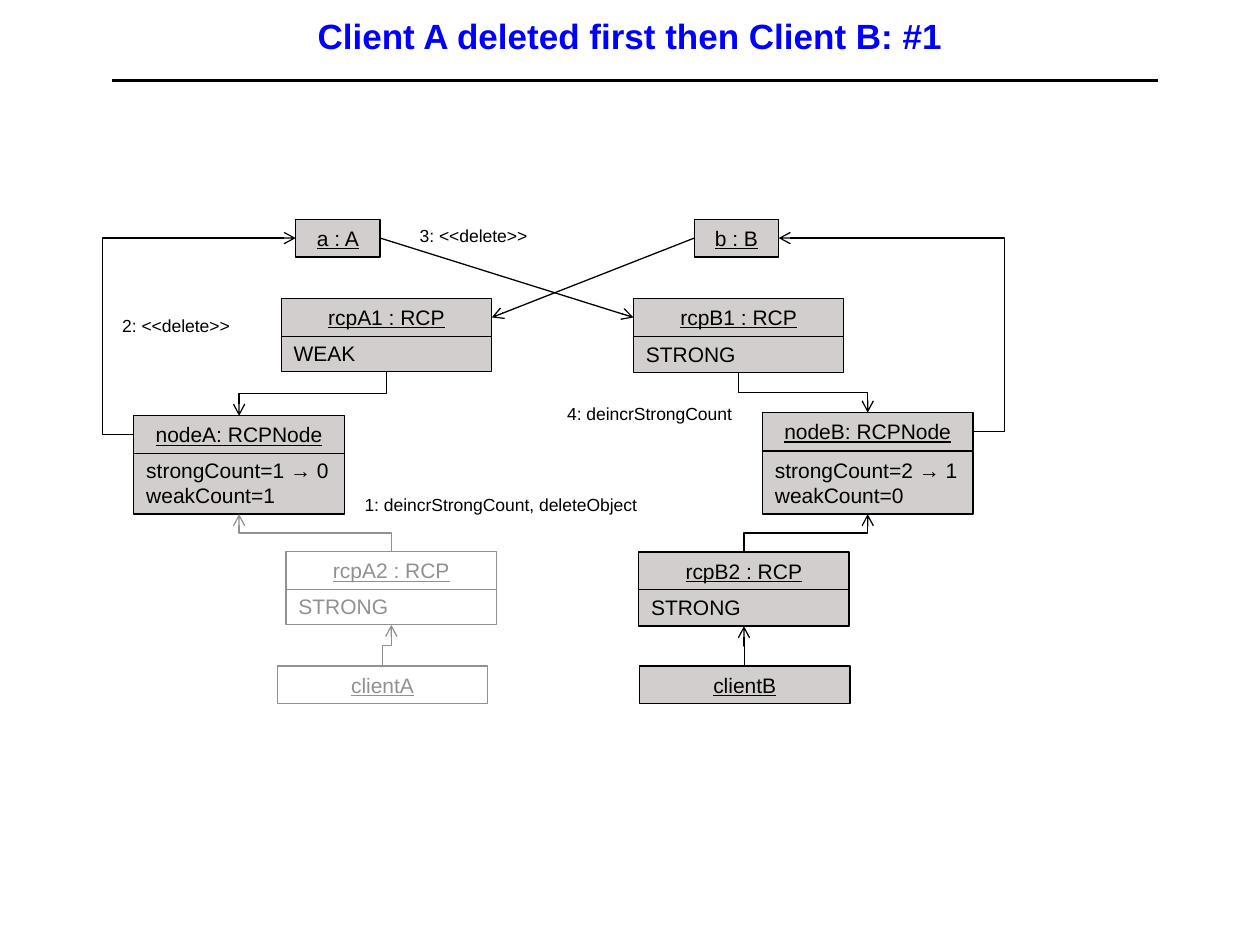
from dataclasses import dataclass

from lxml.etree import SubElement
from pptx import Presentation
from pptx.dml.color import RGBColor
from pptx.enum.shapes import MSO_CONNECTOR as LINK, MSO_SHAPE
from pptx.enum.text import MSO_ANCHOR as ANCHOR, MSO_AUTO_SIZE as FIT, PP_ALIGN as ALIGN
from pptx.oxml.ns import qn
from pptx.util import Pt

COLORS = {"title": "0000FF", "ink": "000000", "live": "D1CECD",
          "gone": "FFFFFF", "faded": "919191"}
FONT = "Arial"
HEAD_HEIGHT = 21.6
LINE_HEIGHT = 14.4
CLASS_WIDTH = 120.25
LOOP_REACH = 18


@dataclass
class Instance:
    """One UML object, placed relative to its side of the diagram."""
    name: str
    left: float
    top: float
    state: tuple = ()
    drop: float = 20.2
    width: float = CLASS_WIDTH
    deleted: bool = False


SIDE_A = {
    "target": Instance("a : A", 110.75, 0, width=48.25),
    "first": Instance("rcpA1 : RCP", 102.5, 45.35, ("WEAK",)),
    "node": Instance("nodeA: RCPNode", 18.25, 112.35, ("strongCount=1 → 0", "weakCount=1")),
    "second": Instance("rcpA2 : RCP", 105.25, 190, ("STRONG",), deleted=True),
    "client": Instance("clientA", 100.25, 255.4, deleted=True),
}
SIDE_B = {
    "target": Instance("b : B", 34.75, 0, width=48.25),
    "first": Instance("rcpB1 : RCP", 0, 45.35, ("STRONG",), 20.8),
    "node": Instance("nodeB: RCPNode", 73.75, 110.5, ("strongCount=2 → 1", "weakCount=0"), 22.1),
    "second": Instance("rcpB2 : RCP", 3, 190.2, ("STRONG",), 20.8),
    "client": Instance("clientB", 3.5, 255.4),
}
MESSAGES = [
    ("1: deincrStrongCount, deleteObject", 143, 153.5, 175),
    ("2: <<delete>>", 4.5, 51.1, 80),
    ("3: <<delete>>", 174.5, 0, 80),
    ("4: deincrStrongCount", 258.75, 101.75, 114),
]


def rgb(key):
    """Look up a named colour."""
    return RGBColor.from_string(COLORS[key])


def write(shape, lines, size, color, align=ALIGN.LEFT, underline=False):
    """Fill a shape with equally formatted paragraphs."""
    frame = shape.text_frame
    frame.text = "\n".join(lines)
    frame.word_wrap = True
    frame.vertical_anchor = ANCHOR.TOP
    frame.auto_size = FIT.SHAPE_TO_FIT_TEXT
    for line in frame.paragraphs:
        line.alignment = align
        line.font.name = FONT
        line.font.size = Pt(size)
        line.font.underline = underline
        line.font.color.rgb = rgb(color)


def style_link(link, color="ink", width=0.75, arrow=True):
    """Colour a connector, remove its shadow and give it an open arrowhead."""
    link.line.color.rgb = rgb(color)
    link.line.width = Pt(width)
    if arrow:
        SubElement(link._element.spPr.find(qn("a:ln")), qn("a:tailEnd"), type="arrow")
    SubElement(link._element.spPr, qn("a:effectLst"))


def draw_rise(slide, start, end, color="ink"):
    """Draw an elbow arrow that leaves and arrives vertically."""
    (x1, y1), (x2, y2) = start, end
    turn = -1 if (x2 - x1) * (y2 - y1) > 0 else 1
    mid_x, mid_y = (x1 + x2) // 2, (y1 + y2) // 2
    across, down = turn * (y2 - y1) // 2, -turn * (x2 - x1) // 2
    link = slide.shapes.add_connector(LINK.ELBOW, mid_x - across, mid_y - down,
                                      mid_x + across, mid_y + down)
    link._element.spPr.find(qn("a:xfrm")).set("rot", str(turn * 90 % 360 * 60000))
    style_link(link, color)


def draw_delete_loop(slide, node, target, on_left):
    """Draw an elbow arrow from a node to its target around the outside."""
    ends = []
    for head in (node, target):
        ends += [head.left if on_left else head.left + head.width,
                 head.top + head.height // 2]
    loop = slide.shapes.add_connector(LINK.ELBOW, *ends)
    guides = loop._element.spPr.find(qn("a:prstGeom")).find(qn("a:avLst"))
    bend = -round(Pt(LOOP_REACH) / abs(ends[2] - ends[0]) * 100000)
    SubElement(guides, qn("a:gd"), name="adj1", fmla=f"val {bend}")
    style_link(loop)


def draw_cross_link(slide, target, proxy, sides):
    """Join a target object to the other side's first proxy."""
    link = slide.shapes.add_connector(LINK.STRAIGHT, 0, 0, 0, 0)
    link.begin_connect(target, sides[0])
    link.end_connect(proxy, sides[1])
    style_link(link)


def draw_compartment(slide, box, lines, deleted, **text):
    """Draw one rectangle of a UML object."""
    rect = slide.shapes.add_shape(MSO_SHAPE.RECTANGLE, *map(Pt, box))
    ink = "faded" if deleted else "ink"
    rect.shadow.inherit = False
    rect.fill.solid()
    rect.fill.fore_color.rgb = rgb("gone" if deleted else "live")
    rect.line.color.rgb = rgb(ink)
    rect.line.width = Pt(0.75)
    write(rect, lines, 12, ink, **text)
    return rect


def draw_instance(slide, origin, item):
    """Draw a UML object and return its head with its top and bottom centres."""
    left, top = origin[0] + item.left, origin[1] + item.top
    state = None
    if item.state:
        height = 7.2 + LINE_HEIGHT * len(item.state)
        state = draw_compartment(slide, (left, top + item.drop, item.width, height),
                                 item.state, item.deleted)
    head = draw_compartment(slide, (left, top, item.width, HEAD_HEIGHT), [item.name],
                            item.deleted, align=ALIGN.CENTER, underline=True)
    base = state or head
    center = head.left + head.width // 2
    return head, (center, head.top), (center, base.top + base.height)


def draw_side(slide, origin, items, loop_on_left):
    """Draw one client's objects with their links and return the heads."""
    drawn = {role: draw_instance(slide, origin, item) for role, item in items.items()}
    heads = {role: parts[0] for role, parts in drawn.items()}
    ink = "faded" if items["client"].deleted else "ink"
    draw_rise(slide, drawn["first"][2], drawn["node"][1])
    draw_rise(slide, drawn["second"][1], drawn["node"][2], ink)
    draw_rise(slide, drawn["client"][1], drawn["second"][2], ink)
    draw_delete_loop(slide, heads["node"], heads["target"], loop_on_left)
    return heads


def draw_messages(slide, origin):
    """Place the numbered messages beside their links."""
    for message, left, top, width in MESSAGES:
        label = slide.shapes.add_textbox(Pt(origin[0] + left), Pt(origin[1] + top),
                                         Pt(width), Pt(19.4))
        write(label, [message], 10, "ink")


def draw_title(slide, box):
    """Place the slide title and the rule below it."""
    left, top, width, height = box
    title = slide.shapes.title
    title.left, title.top, title.width, title.height = map(Pt, box)
    write(title, ["Client A deleted first then Client B: #1"], 20, "title", ALIGN.CENTER)
    title.text_frame.vertical_anchor = ANCHOR.MIDDLE
    title.text_frame.auto_size = FIT.NONE
    title.text_frame.paragraphs[0].font.bold = True
    rule_y = Pt(top + height + 6)
    rule = slide.shapes.add_connector(LINK.STRAIGHT, Pt(left + 10), rule_y,
                                      Pt(left + width - 4), rule_y)
    style_link(rule, width=2, arrow=False)


def main():
    """Build and save the slide."""
    deck = Presentation()
    deck.slide_width, deck.slide_height = Pt(720), Pt(540)
    slide = deck.slides.add_slide(deck.slide_layouts[5])
    origin_a, origin_b = (58.25, 125.25), (362, 125.25)
    draw_title(slide, (54, 0, 612, 40))
    a_heads = draw_side(slide, origin_a, SIDE_A, True)
    b_heads = draw_side(slide, origin_b, SIDE_B, False)
    draw_cross_link(slide, b_heads["target"], a_heads["first"], (1, 3))
    draw_cross_link(slide, a_heads["target"], b_heads["first"], (3, 1))
    draw_messages(slide, origin_a)
    deck.save("out.pptx")


if __name__ == "__main__":
    main()
